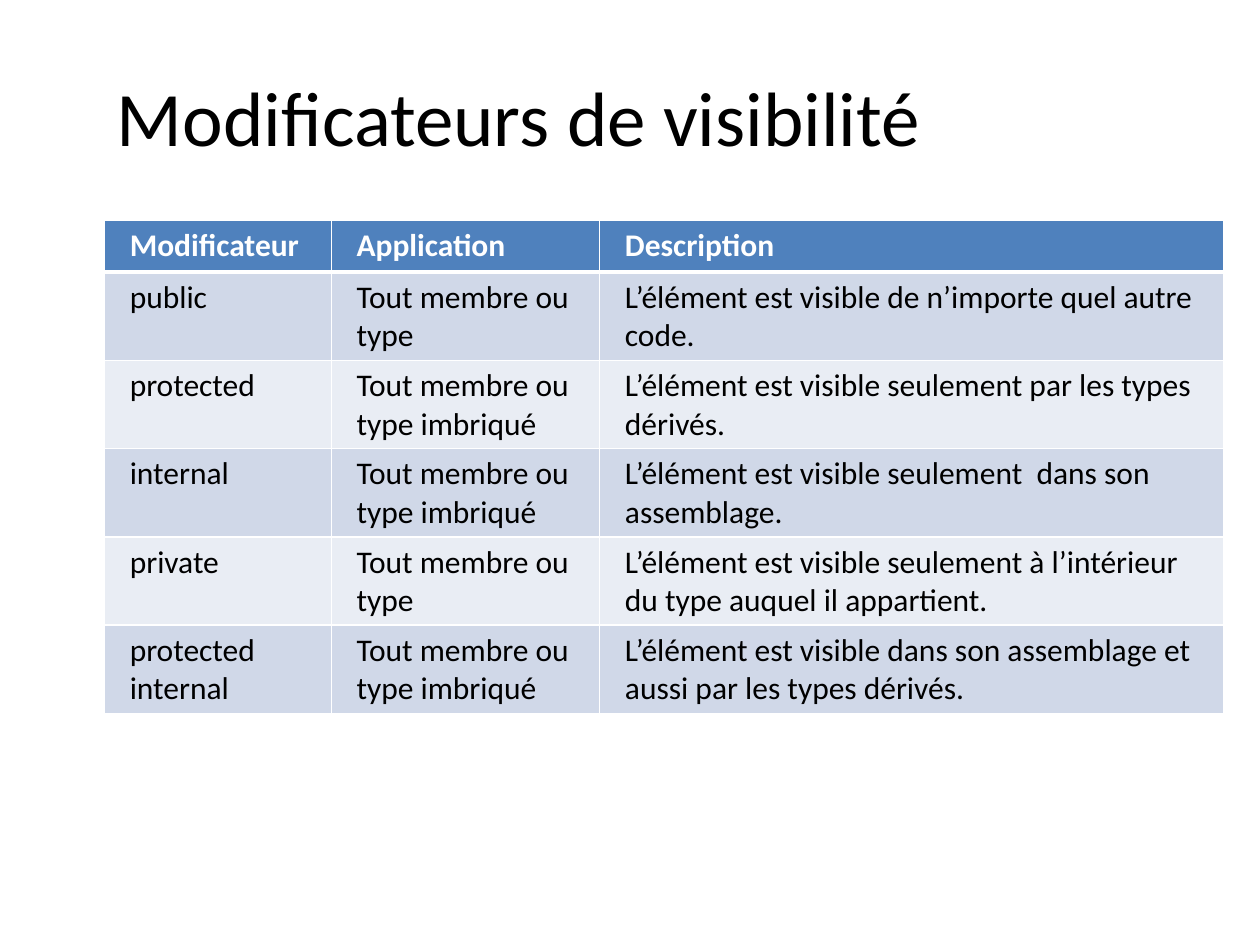
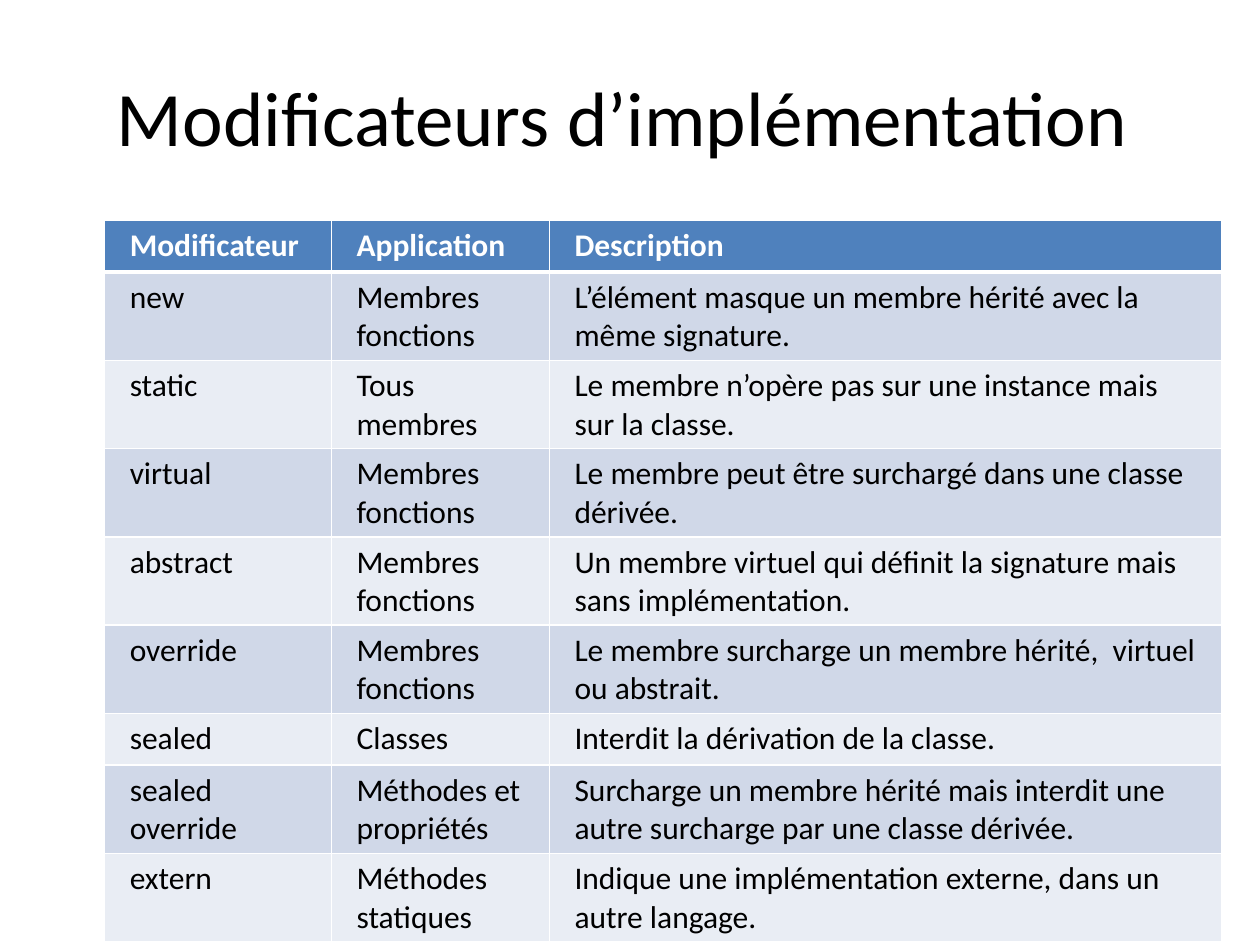
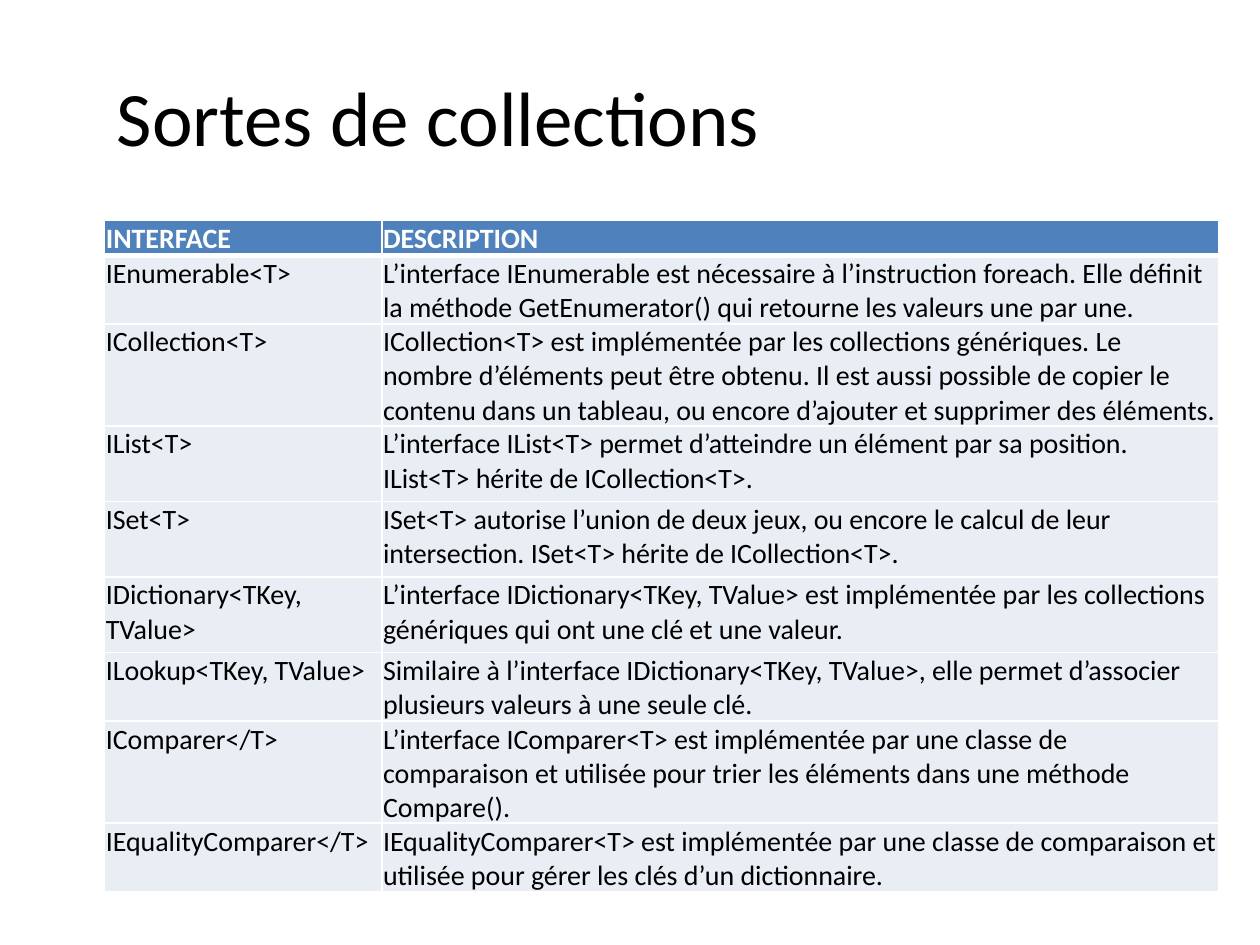
"""Builds three slides of tables on modifiers and collection interfaces."""
from dataclasses import dataclass

from lxml.etree import SubElement
from pptx import Presentation
from pptx.dml.color import RGBColor as Rgb
from pptx.enum.text import MSO_ANCHOR as Anchor
from pptx.oxml.ns import qn
from pptx.util import Inches, Pt


@dataclass(frozen=True)
class Theme:
    font: str = "Calibri"
    ink: str = "000000"
    paper: str = "FFFFFF"
    header: str = "4F81BD"
    dark_band: str = "D0D8E8"
    light_band: str = "E9EDF4"
    title_size: int = 44
    modifier_size: int = 18
    collection_size: int = 16
    thin_rule: int = 1
    header_rule: int = 3


THEME = Theme()
LEFT = 0.83
TITLE_BOX = (LEFT, 0.29, 8.83, 1.25)
TABLE_TOP = 1.75

MODIFIER_HEADER = ("Modificateur", "Application", "Description")
MODIFIER_STYLE = dict(size=THEME.modifier_size, margins=(0.2, 0.05, 0.2, 0.05),
                      bands=(THEME.dark_band, THEME.light_band), header_anchor=Anchor.TOP)
COLLECTION_STYLE = dict(size=THEME.collection_size, margins=(0.01, 0.01, 0.01, 0),
                        bands=(THEME.light_band,), header_anchor=Anchor.MIDDLE)

VISIBILITY = [
    MODIFIER_HEADER,
    ("public", "Tout membre ou type",
     "L’élément est visible de n’importe quel autre code."),
    ("protected", "Tout membre ou type imbriqué",
     "L’élément est visible seulement par les types dérivés."),
    ("internal", "Tout membre ou type imbriqué",
     "L’élément est visible seulement  dans son assemblage."),
    ("private", "Tout membre ou type",
     "L’élément est visible seulement à l’intérieur du type auquel il appartient."),
    ("protected internal", "Tout membre ou type imbriqué",
     "L’élément est visible dans son assemblage et aussi par les types dérivés."),
]

IMPLEMENTATION = [
    MODIFIER_HEADER,
    ("new", "Membres fonctions",
     "L’élément masque un membre hérité avec la même signature."),
    ("static", "Tous membres",
     "Le membre n’opère pas sur une instance mais sur la classe."),
    ("virtual", "Membres fonctions",
     "Le membre peut être surchargé dans une classe dérivée."),
    ("abstract", "Membres fonctions",
     "Un membre virtuel qui définit la signature mais sans implémentation."),
    ("override", "Membres fonctions",
     "Le membre surcharge un membre hérité,  virtuel ou abstrait."),
    ("sealed", "Classes", "Interdit la dérivation de la classe."),
    ("sealed override", "Méthodes et propriétés",
     "Surcharge un membre hérité mais interdit une autre surcharge par une classe dérivée."),
    ("extern", "Méthodes statiques",
     "Indique une implémentation externe, dans un autre langage."),
]

COLLECTIONS = [
    ("INTERFACE", "DESCRIPTION"),
    ("IEnumerable<T>",
     "L’interface IEnumerable est nécessaire à l’instruction foreach. Elle définit la "
     "méthode GetEnumerator() qui retourne les valeurs une par une."),
    ("ICollection<T>",
     "ICollection<T> est implémentée par les collections génériques. Le nombre d’éléments "
     "peut être obtenu. Il est aussi possible de copier le contenu dans un tableau, ou "
     "encore d’ajouter et supprimer des éléments."),
    ("IList<T>",
     "L’interface IList<T> permet d’atteindre un élément par sa position. IList<T> hérite "
     "de ICollection<T>."),
    ("ISet<T>",
     "ISet<T> autorise l’union de deux jeux, ou encore le calcul de leur intersection. "
     "ISet<T> hérite de ICollection<T>."),
    ("IDictionary<TKey, TValue>",
     "L’interface IDictionary<TKey, TValue> est implémentée par les collections génériques "
     "qui ont une clé et une valeur."),
    ("ILookup<TKey, TValue>",
     "Similaire à l’interface IDictionary<TKey, TValue>, elle permet d’associer plusieurs "
     "valeurs à une seule clé."),
    ("IComparer</T>",
     "L’interface IComparer<T> est implémentée par une classe de comparaison et utilisée "
     "pour trier les éléments dans une méthode Compare()."),
    ("IEqualityComparer</T>",
     "IEqualityComparer<T> est implémentée par une classe de comparaison et utilisée pour "
     "gérer les clés d’un dictionnaire."),
]

SLIDES = [
    dict(title="Modificateurs de visibilité", rows=VISIBILITY, widths=(1.8, 2.13, 4.95),
         heights=[0.41] * len(VISIBILITY), total=3.91, style=MODIFIER_STYLE),
    dict(title="Modificateurs d’implémentation", rows=IMPLEMENTATION, widths=(1.8, 1.73, 5.34),
         heights=[0.41] * len(IMPLEMENTATION), total=5.71, style=MODIFIER_STYLE),
    dict(title="Sortes de collections", rows=COLLECTIONS, widths=(2.2, 6.64),
         heights=[0.1, 0.5, 0.7, 0.6, 0.6, 0.6, 0.4, 0.3, 0.5], total=5.56,
         style=COLLECTION_STYLE),
]


def write(frame, text, size, color=THEME.ink, bold=False):
    frame.word_wrap = True
    run = frame.paragraphs[0].add_run()
    run.text = text
    run.font.name = THEME.font
    run.font.size = Pt(size)
    run.font.bold = bold
    run.font.color.rgb = Rgb.from_string(color)


def add_title(slide, title):
    frame = slide.shapes.add_textbox(*map(Inches, TITLE_BOX)).text_frame
    frame.vertical_anchor = Anchor.MIDDLE
    write(frame, title, THEME.title_size)


def rule_cell(cell, top, bottom):
    properties = cell._tc.get_or_add_tcPr()
    sides = dict(lnL=THEME.thin_rule, lnR=THEME.thin_rule, lnT=top, lnB=bottom)
    for side, width in sides.items():
        line = SubElement(properties, qn(f"a:{side}"), w=str(Pt(width)))
        fill = SubElement(line, qn("a:solidFill"))
        SubElement(fill, qn("a:srgbClr"), val=THEME.paper)


def fill_cell(cell, text, row, style):
    is_header = row == 0
    bands = style["bands"]
    rule_cell(cell, top=THEME.header_rule if row == 1 else THEME.thin_rule,
              bottom=THEME.header_rule if is_header else THEME.thin_rule)
    cell.fill.solid()
    cell.fill.fore_color.rgb = Rgb.from_string(
        THEME.header if is_header else bands[(row - 1) % len(bands)])
    cell.margin_left, cell.margin_top, cell.margin_right, cell.margin_bottom = map(
        Inches, style["margins"])
    cell.vertical_anchor = style["header_anchor"] if is_header else Anchor.TOP
    write(cell.text_frame, text, style["size"],
          color=THEME.paper if is_header else THEME.ink, bold=is_header)


def add_grid(slide, rows, widths, heights, total, style):
    holder = slide.shapes.add_table(
        len(rows), len(widths), Inches(LEFT), Inches(TABLE_TOP),
        Inches(sum(widths)), Inches(sum(heights)))
    table = holder.table
    table.horz_banding = False
    for column, width in zip(table.columns, widths):
        column.width = Inches(width)
    for row, (entries, height) in enumerate(zip(rows, heights)):
        table.rows[row].height = Inches(height)
        for column, text in enumerate(entries):
            fill_cell(table.cell(row, column), text, row, style)
    holder.height = Inches(total)


def build():
    deck = Presentation()
    deck.slide_width, deck.slide_height = Inches(10), Inches(7.5)
    for content in SLIDES:
        slide = deck.slides.add_slide(deck.slide_layouts[6])
        slide.background.fill.solid()
        slide.background.fill.fore_color.rgb = Rgb.from_string(THEME.paper)
        add_title(slide, content["title"])
        add_grid(slide, content["rows"], content["widths"], content["heights"],
                 content["total"], content["style"])
    deck.save("out.pptx")


build()
